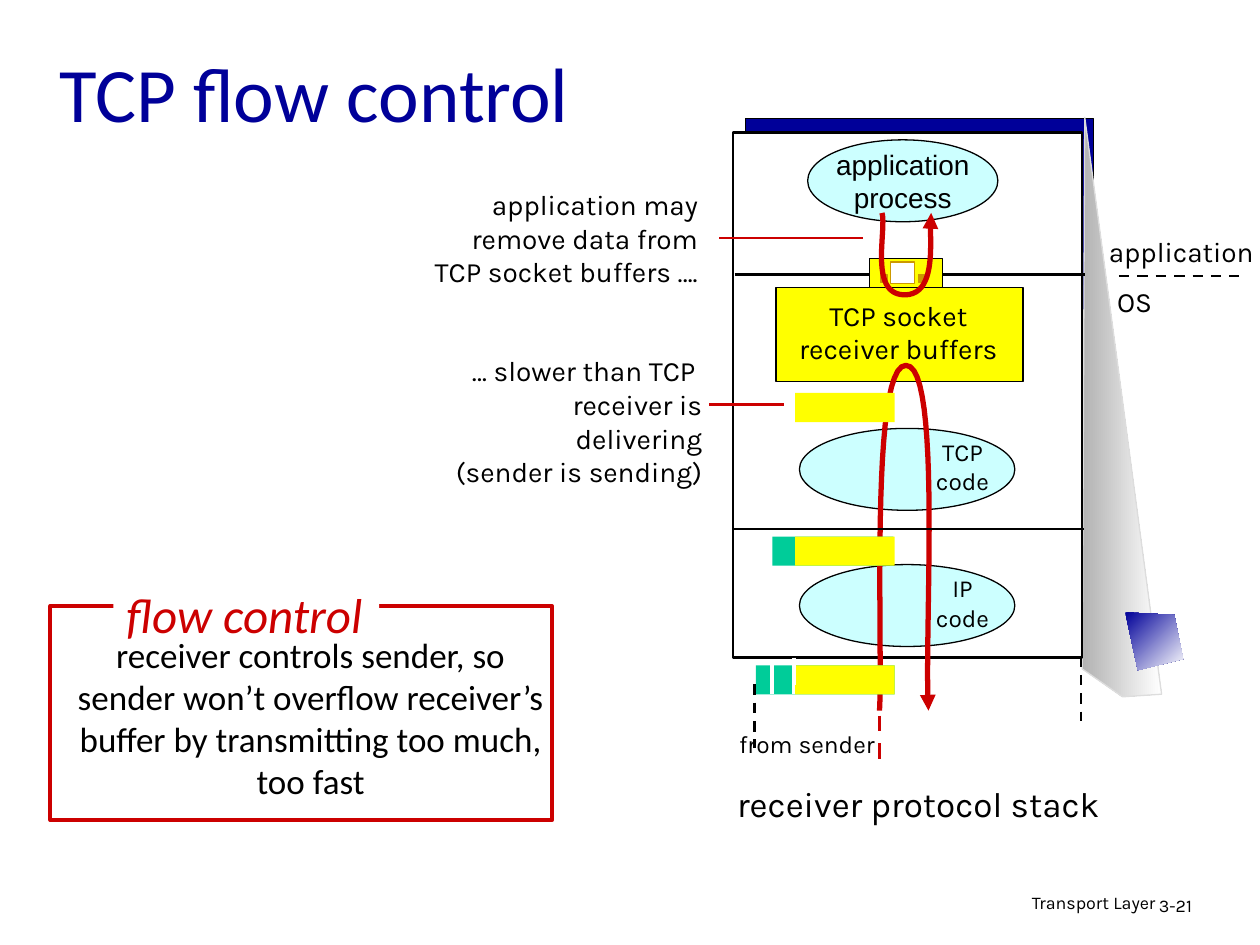
from lxml.etree import SubElement
from pptx import Presentation
from pptx.dml.color import RGBColor
from pptx.enum.dml import MSO_LINE
from pptx.enum.shapes import MSO_CONNECTOR, MSO_SHAPE
from pptx.enum.text import MSO_ANCHOR, PP_ALIGN
from pptx.oxml.ns import qn
from pptx.util import Pt

BLACK = RGBColor(0, 0, 0)
WHITE = RGBColor(255, 255, 255)
NAVY = RGBColor(0, 0, 0x99)
RED = RGBColor(0xCC, 0, 0)
CYAN = RGBColor(0xCC, 255, 255)
YELLOW = RGBColor(255, 255, 0)
GREEN = RGBColor(0, 0xCC, 0x99)
GOLD = RGBColor(0xCC, 0x99, 0)
GRAY = RGBColor(0xB2, 0xB2, 0xB2)
PALE = RGBColor(0xDD, 0xDD, 0xDD)

RECT, OVAL = MSO_SHAPE.RECTANGLE, MSO_SHAPE.OVAL
LEFT, MID, RIGHT = PP_ALIGN.LEFT, PP_ALIGN.CENTER, PP_ALIGN.RIGHT
TITLE = "TCP flow control"
HIGH = 16.6
ROWS = (224.6, 306.7, 380.2)

FOOTER = [
    ("text", (439.2, 507.6, 228.2, 22.3), "Transport Layer", 10.2, RIGHT, True),
    ("text", (655.2, 509, 53.3, 21.6), "3-21", 10.2, LEFT, True),
]
STACK = [
    ("box", RECT, (426.2, 67.7, 198.7, 303.8), NAVY, BLACK),
    ("fade", [(663.8, 396.7), (619.9, 67), (618.5, 382.3), (641.5, 398.2)],
     GRAY, 0, PALE),
    ("box", RECT, (419, 75.6, 199.4, 300.2), WHITE, BLACK, 1.5),
    ("box", OVAL, (461.5, 79.9, 108.7, 46.8), CYAN, BLACK),
    ("text", (461.5, 79.9, 108.7, 46.8), "application\nprocess", 16, MID,
     False, "Arial"),
    ("box", RECT, (443.5, 164.2, 141.1, 54), YELLOW, BLACK),
    ("text", (447.1, 167, 132.5, 46.1), "TCP socket\nreceiver buffers", 16),
]
for name, top in (("TCP", 244.8), ("IP", 322.6)):
    STACK += [
        ("box", OVAL, (456.8, top, 123.1, 46.8), CYAN, BLACK),
        ("text", (527, top + 1.4, 46.1, 41), name + "\ncode", 14),
    ]
STACK += [
    ("curve", [(502.6, 406.1), (504.7, 373), (496.8, 208.8), (517.7, 208.8),
               (538.6, 208.8), (527.8, 365), (530.6, 406.1)]),
    ("line", (419, 302.4, 619.2, 302.4), BLACK),
    ("line", (419.8, 157, 619.9, 157), BLACK),
    ("box", RECT, (496.8, 147.6, 41.8, HIGH), YELLOW, BLACK),
    ("box", RECT, (509, 149.8, 13.7, 12.2), WHITE, GOLD),
    ("box", RECT, (524.9, 157, 3.6, 4.3), GOLD, GOLD),
    ("box", RECT, (503.3, 157, 3.6, 4.3), GOLD, GOLD),
    ("curve", [(504, 121.7), (506.9, 131), (496.1, 168.5), (517, 168.5),
               (537.8, 168.5), (529.9, 129.6), (532.1, 121.7)]),
]
PACKETS = [
    ("box", RECT, (432, ROWS[2], 79.2, HIGH), GREEN),
    ("line", (441.4, ROWS[2], 441.4, ROWS[2] + HIGH), WHITE, 2.25),
    ("line", (453.6, ROWS[2], 453.6, ROWS[2] + HIGH), WHITE, 2.25),
    ("box", RECT, (441.4, ROWS[1], 69.1, HIGH), GREEN),
] + [("box", RECT, (454.3, row, 57, HIGH), YELLOW) for row in ROWS]
NOTES = [
    ("text", (626.4, 130.3, 97.2, 26.6), "application", 16),
    ("text", (630.7, 159.1, 35.3, 26.6), "OS", 16),
    ("line", (639.4, 157.7, 707.8, 157.7), BLACK, 1.5, True),
    ("text", (411.1, 443.5, 227.5, 31.7), "receiver protocol stack", 20),
    ("text", (158.4, 103.7, 251.3, 64.8),
     "application may \nremove data from \nTCP socket buffers …. ", 16, RIGHT, True),
    ("line", (411.1, 136.1, 493.2, 136.1), RED),
    ("text", (244.1, 198.7, 164.2, 84.2),
     "… slower than TCP \nreceiver is delivering\n(sender is sending)",
     16, RIGHT, True),
    ("line", (405.4, 231.1, 447.8, 231.1), RED),
    ("line", (502.6, 409, 502.6, 436.3), RED, 2.25, True),
    ("text", (413.3, 413.3, 95.8, 24.5), "from sender", 14),
    ("line", (453.6, 375.8, 453.6, 391.7), WHITE, 2.25),
]
CARD = [
    ("box", RECT, (28.8, 346.3, 286.6, 122.4), WHITE, RED, 2.25),
    ("text", (36, 358.6, 283, 127.4),
     "receiver controls sender, so sender won’t overflow receiver’s buffer "
     "by transmitting too much, too fast", 20, MID, True, "Calibri"),
    ("box", RECT, (64.8, 337.7, 151.9, 28.1), WHITE),
    ("text", (59, 330.5, 161.3, 41), "flow control", 28, MID, False,
     "Calibri", RED, True),
]
EDGES = [
    ("line", (431.3, 391, 431.3, 427.7), BLACK, 1.5, True),
    ("line", (617.8, 375.1, 617.8, 411.8), BLACK, 1.5, True),
    ("fade", [(643, 349.9), (671, 351.4), (676.1, 376.6), (650.2, 383)],
     NAVY, 315),
]

deck = Presentation()
deck.slide_width, deck.slide_height = Pt(720), Pt(540)
slide = deck.slides.add_slide(deck.slide_layouts[5])
shapes = slide.shapes


def pts(nums):
    return [Pt(n) for n in nums]


def ink(shape, color, width):
    if color is None:
        shape.line.fill.background()
    else:
        shape.line.color.rgb = color
        shape.line.width = Pt(width)


def box(kind, area, fill, color=None, width=0.75):
    shape = shapes.add_shape(kind, *pts(area))
    shape.shadow.inherit = False
    shape.fill.solid()
    shape.fill.fore_color.rgb = fill
    ink(shape, color, width)


def text(area, words, size, align=MID, wrap=False, face="Karla",
         color=BLACK, slant=False):
    frame = shapes.add_textbox(*pts(area)).text_frame
    frame.word_wrap = wrap
    frame.text = words
    if face == "Arial":
        frame.vertical_anchor = MSO_ANCHOR.MIDDLE
    for para in frame.paragraphs:
        para.alignment = align
        if size < 12:
            para.line_spacing = 0.9
        for run in para.runs:
            run.font.name, run.font.size = face, Pt(size)
            run.font.color.rgb = color
            run.font.italic = slant


def line(ends, color, width=1.5, dash=False):
    link = shapes.add_connector(MSO_CONNECTOR.STRAIGHT, *pts(ends))
    ink(link, color, width)
    if dash:
        link.line.dash_style = MSO_LINE.DASH
    SubElement(link._element.spPr, qn("a:effectLst"))


def trace(dots, close):
    dots = [pts(dot) for dot in dots]
    form = shapes.build_freeform(*dots[0], scale=1.0)
    form.add_line_segments(dots[1:], close=close)
    shape = form.convert_to_shape()
    shape.shadow.inherit = False
    return shape


def fade(dots, start, angle, color=None):
    shape = trace(dots, True)
    shape.fill.gradient()
    shape.fill.gradient_angle = angle
    for stop, tint, spot in zip(shape.fill.gradient_stops, (start, WHITE), (0, 1)):
        stop.color.rgb = tint
        stop.position = spot
    ink(shape, color, 0.75)


def bend(knots, t):
    parts = ((1 - t) ** 3, 3 * t * (1 - t) ** 2, 3 * t * t * (1 - t), t ** 3)
    return [sum(p * k[axis] for p, k in zip(parts, knots)) for axis in (0, 1)]


def curve(knots, steps=24):
    dots = [knots[0]]
    for first in range(0, len(knots) - 1, 3):
        dots += [bend(knots[first:first + 4], n / steps)
                 for n in range(1, steps + 1)]
    shape = trace(dots, False)
    shape.fill.background()
    ink(shape, RED, 3)
    SubElement(shape.line._get_or_add_ln(), qn("a:tailEnd"), type="triangle")


title = shapes.title
title.left, title.top, title.width, title.height = pts((26.6, 13.7, 612, 77))
title.text_frame.text = TITLE
title.text_frame.vertical_anchor = MSO_ANCHOR.MIDDLE
head = title.text_frame.paragraphs[0]
head.alignment = LEFT
head.font.name, head.font.size = "Calibri", Pt(44)
head.font.color.rgb = NAVY

DRAW = {"box": box, "text": text, "line": line, "fade": fade, "curve": curve}
for kind, *rest in FOOTER + STACK + PACKETS + NOTES + CARD + EDGES:
    DRAW[kind](*rest)

deck.save("out.pptx")
